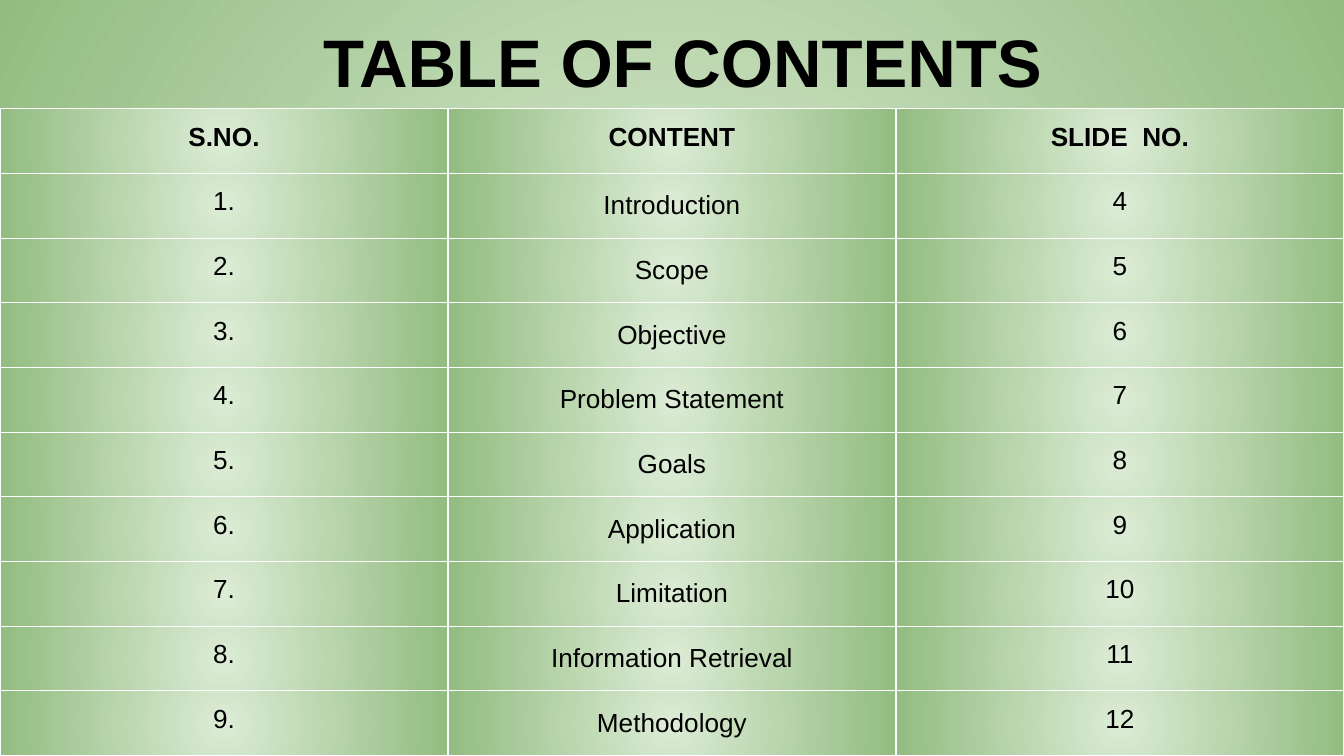
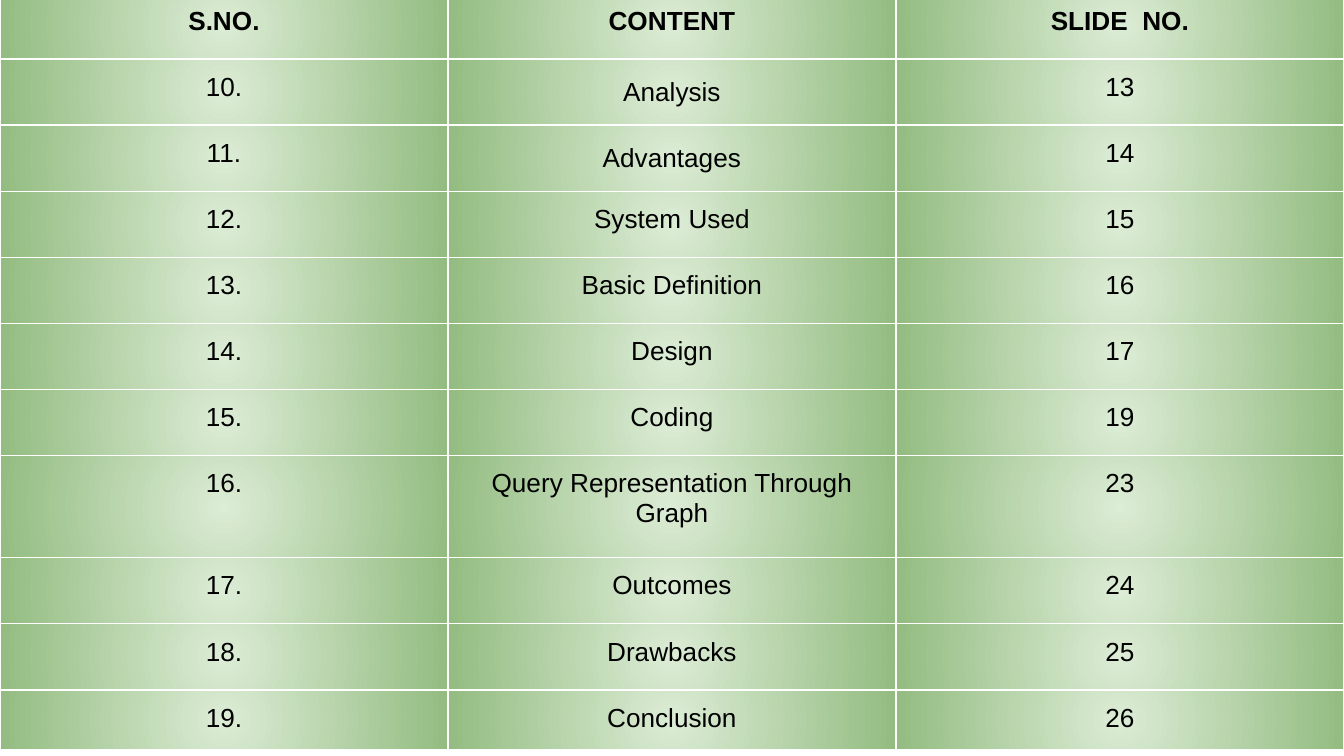
import pptx
import pptx.dml.color
import pptx.enum.text
import pptx.oxml
import pptx.oxml.ns
import pptx.util

Pt = pptx.util.Pt
RGB = pptx.dml.color.RGBColor
ANCHOR = pptx.enum.text.MSO_ANCHOR

# Content: (topic, slide number); serial numbers run on across the pages
HEAD = ("S.NO.", "CONTENT", "SLIDE  NO.")
PAGES = [
    {
        "title": "TABLE OF CONTENTS",
        "top": 58.35,
        "row": 34.64,
        "tall": {},
        "start": 1,
        "mids": 9,
        "items": [
            ("Introduction", 4), ("Scope", 5), ("Objective", 6),
            ("Problem Statement", 7), ("Goals", 8), ("Application", 9),
            ("Limitation", 10), ("Information Retrieval", 11),
            ("Methodology", 12),
        ],
    },
    {
        "title": None,
        "top": -3.85,
        "row": 35.45,
        "tall": {7: 54.65, 10: 31.7},
        "start": 10,
        "mids": 2,
        "items": [
            ("Analysis", 13), ("Advantages", 14), ("System Used", 15),
            ("Basic Definition", 16), ("Design", 17), ("Coding", 19),
            ("Query Representation Through Graph", 23), ("Outcomes", 24),
            ("Drawbacks", 25), ("Conclusion", 26),
        ],
    },
]

# Theme
THEME = {
    "font": "Arial", "ink": "000000", "line": "FFFFFF", "page": "FFFFFF",
    "inner": "DCECD5", "outer": "93BC81",
    "title": 36, "body": 14, "rule": 0.75, "pad": 7.2,
}
WIDE, HIGH = 720, 405
TITLE = (77, 3.6, 577.5, 67.7)
PADS = {f"margin_{side}": Pt(THEME["pad"])
        for side in ("left", "right", "top", "bottom")}
FLAGS = {"first_row": False, "horz_banding": False}
NS = pptx.oxml.ns.nsdecls("a")


def apply(item, values):
    for name, value in values.items():
        setattr(item, name, value)


def glow(fill, root):
    """Give a fill the round green gradient."""
    fill.solid()
    old = next(root.iter(pptx.oxml.ns.qn("a:solidFill")))
    stops = "".join(
        f'<a:gs pos="{pos}"><a:srgbClr val="{THEME[name]}"/></a:gs>'
        for pos, name in ((0, "inner"), (100000, "outer")))
    new = pptx.oxml.parse_xml(
        f'<a:gradFill {NS} rotWithShape="1"><a:gsLst>{stops}</a:gsLst>'
        '<a:path path="circle"><a:fillToRect l="50000" t="50000" '
        'r="50000" b="50000"/></a:path></a:gradFill>')
    old.getparent().replace(old, new)


def rule(cell):
    """Draw the four cell borders."""
    props = cell._tc.get_or_add_tcPr()
    for spot, side in enumerate("LRTB"):
        props.insert(spot, pptx.oxml.parse_xml(
            f'<a:ln{side} {NS} w="{Pt(THEME["rule"])}"><a:solidFill>'
            f'<a:srgbClr val="{THEME["line"]}"/></a:solidFill></a:ln{side}>'))


def write(frame, text, size, bold):
    para = frame.paragraphs[0]
    para.alignment = pptx.enum.text.PP_ALIGN.CENTER
    run = para.add_run()
    run.text = text
    apply(run.font, {"name": THEME["font"], "size": Pt(size), "bold": bold})
    run.font.color.rgb = RGB.from_string(THEME["ink"])


def add_list(slide, page):
    rows = [HEAD] + [(f"{num}.", topic, str(goal)) for num, (topic, goal)
                     in enumerate(page["items"], page["start"])]
    highs = [page["tall"].get(i, page["row"]) for i in range(len(rows))]
    table = slide.shapes.add_table(
        len(rows), len(HEAD), 0, Pt(page["top"]), Pt(WIDE),
        Pt(sum(highs))).table
    apply(table, FLAGS)
    for i, texts in enumerate(rows):
        table.rows[i].height = Pt(highs[i])
        for j, text in enumerate(texts):
            cell = table.cell(i, j)
            mid = j == 1 and 1 <= i <= page["mids"]
            apply(cell, PADS)
            cell.vertical_anchor = ANCHOR.MIDDLE if mid else ANCHOR.TOP
            write(cell.text_frame, text, THEME["body"], i == 0)
            glow(cell.fill, cell._tc.get_or_add_tcPr())
            rule(cell)


def add_title(slide, text):
    frame = slide.shapes.add_textbox(*map(Pt, TITLE)).text_frame
    apply(frame, {**PADS, "word_wrap": True, "vertical_anchor": ANCHOR.TOP})
    write(frame, text, THEME["title"], True)


def main():
    deck = pptx.Presentation()
    apply(deck, {"slide_width": Pt(WIDE), "slide_height": Pt(HIGH)})
    for page in PAGES:
        slide = deck.slides.add_slide(deck.slide_layouts[6])
        back = slide.background.fill
        if page["title"]:
            glow(back, slide.element)
        else:
            back.solid()
            back.fore_color.rgb = RGB.from_string(THEME["page"])
        add_list(slide, page)
        if page["title"]:
            add_title(slide, page["title"])
    deck.save("out.pptx")


if __name__ == "__main__":
    main()
